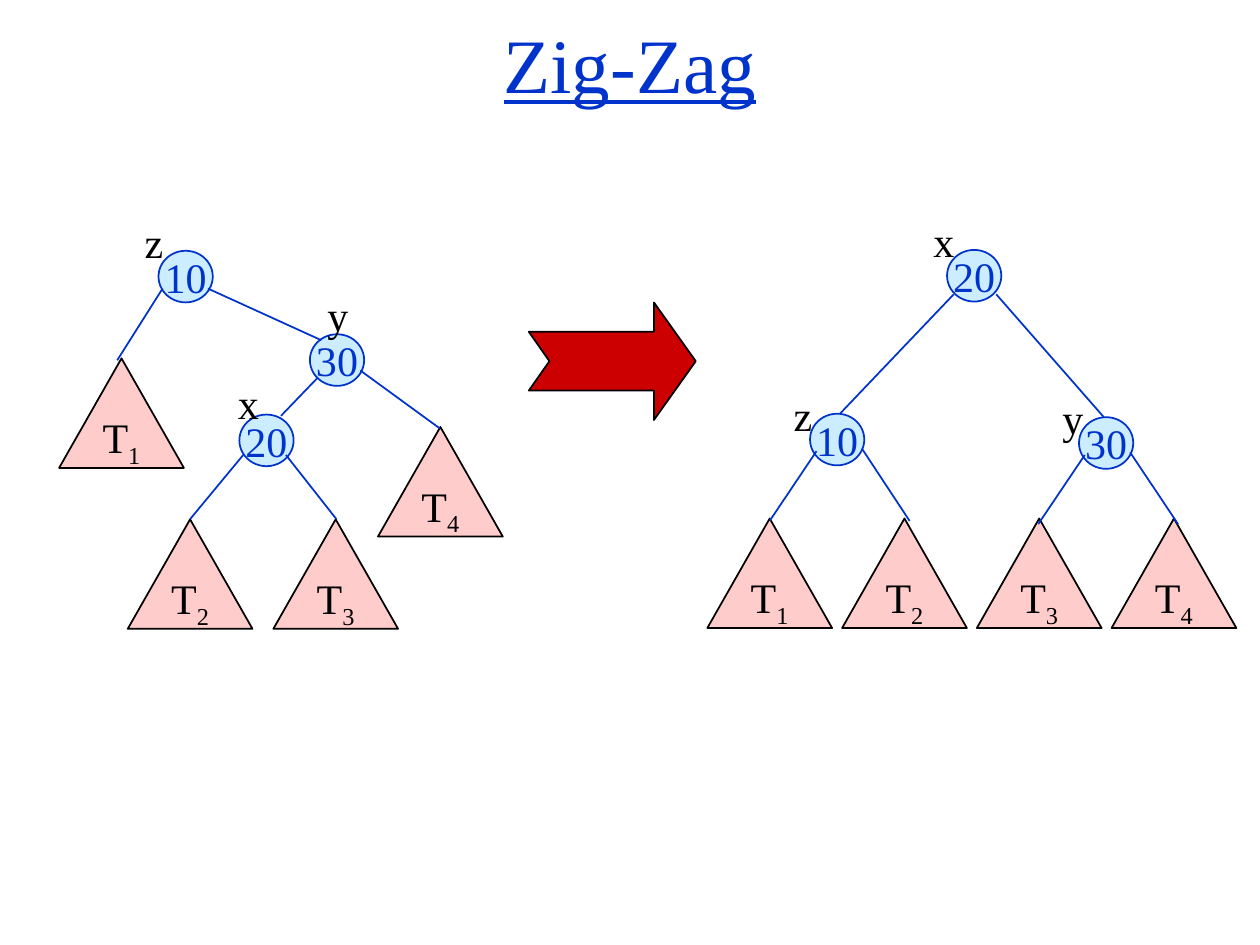
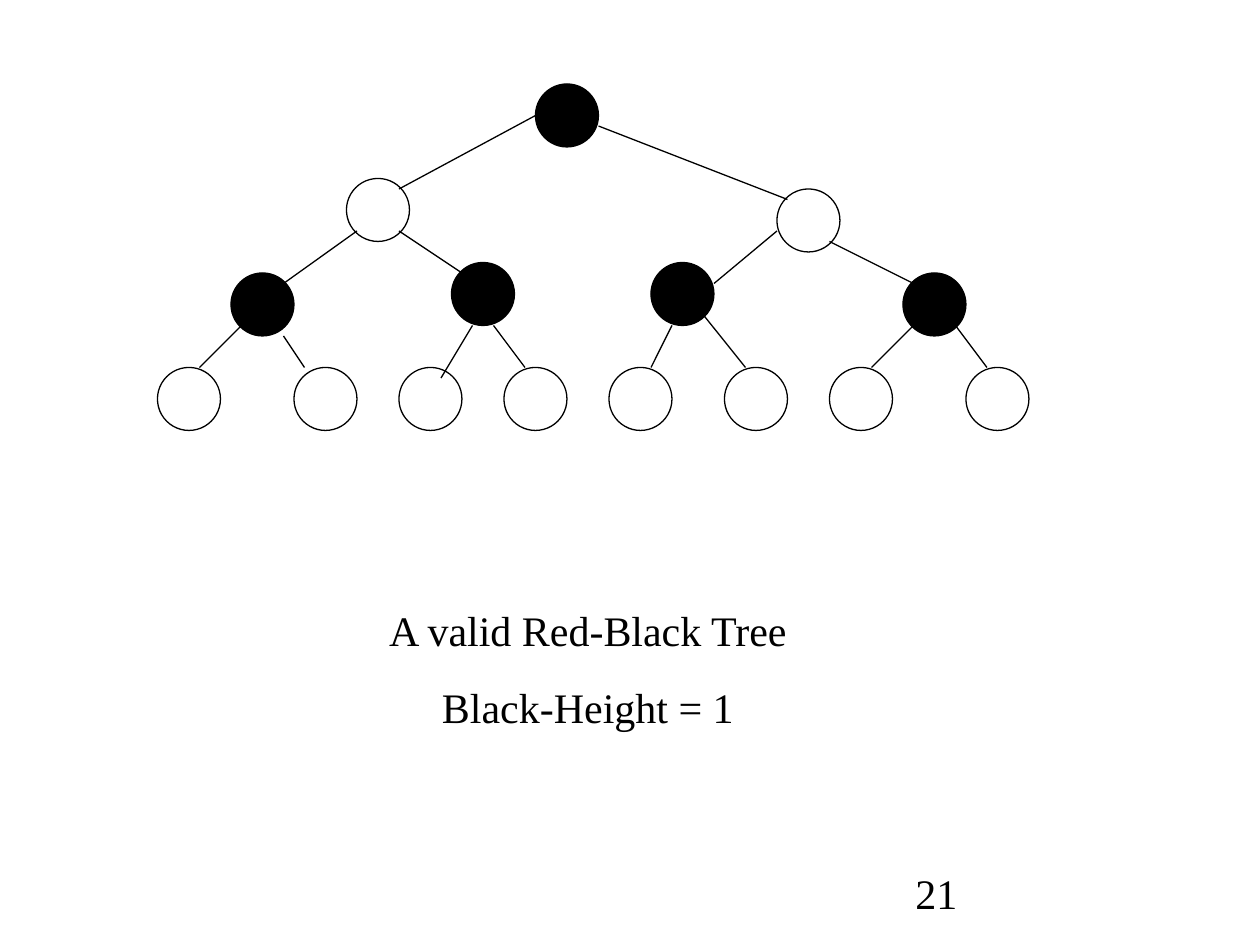
from lxml.etree import SubElement
from pptx import Presentation
from pptx.dml.color import RGBColor
from pptx.enum.shapes import MSO_CONNECTOR, MSO_SHAPE
from pptx.enum.text import MSO_ANCHOR, MSO_AUTO_SIZE, PP_ALIGN
from pptx.oxml.ns import qn
from pptx.util import Pt

BLUE = RGBColor(0x00, 0x33, 0xCC)
PALE_BLUE = RGBColor(0xCC, 0xEC, 0xFF)
PINK = RGBColor(0xFF, 0xCC, 0xCC)
RED = RGBColor(0xCC, 0x00, 0x00)
BLACK = RGBColor(0x00, 0x00, 0x00)
WHITE = RGBColor(0xFF, 0xFF, 0xFF)

SLIDE_WIDTH, SLIDE_HEIGHT = 720, 540
BLANK_LAYOUT = 6
KEY_SIZE = (31, 29.5)
SUBTREE_SIZE = (71.3, 62.6)
LABEL_SIZE = (25.5, 36)
DOT_SIZE = 36


class TreeDeck:
    """Holds the shared style and the slide being drawn; lengths are in points."""

    font_name = "Times New Roman"
    text_size = 24
    title_size = 44

    def __init__(self):
        self.presentation = Presentation()
        self.presentation.slide_width = Pt(SLIDE_WIDTH)
        self.presentation.slide_height = Pt(SLIDE_HEIGHT)
        self.slide = None

    def new_slide(self):
        layout = self.presentation.slide_layouts[BLANK_LAYOUT]
        self.slide = self.presentation.slides.add_slide(layout)

    def add_run(self, paragraph, text, color=BLACK, size=text_size):
        run = paragraph.add_run()
        run.text = text
        run.font.name = self.font_name
        run.font.size = Pt(size)
        run.font.color.rgb = color
        return run

    def text_box(self, left, top, width, height, wrap=True):
        box = self.slide.shapes.add_textbox(Pt(left), Pt(top), Pt(width), Pt(height))
        box.text_frame.word_wrap = wrap
        return box.text_frame

    def title(self, text):
        frame = self.text_box(0, 0, SLIDE_WIDTH, 72)
        frame.vertical_anchor = MSO_ANCHOR.MIDDLE
        paragraph = frame.paragraphs[0]
        paragraph.alignment = PP_ALIGN.CENTER
        self.add_run(paragraph, text, BLUE, self.title_size).font.underline = True

    def caption(self, lines, left, top, width, height):
        frame = self.text_box(left, top, width, height)
        frame.auto_size = MSO_AUTO_SIZE.SHAPE_TO_FIT_TEXT
        for index, line in enumerate(lines):
            paragraph = frame.add_paragraph() if index else frame.paragraphs[0]
            paragraph.alignment = PP_ALIGN.CENTER
            paragraph.space_before = Pt(15)
            self.add_run(paragraph, line)

    def page_number(self, number):
        frame = self.text_box(516, 492, 150, 36)
        self.add_run(frame.paragraphs[0], number)

    def label(self, text, left, top):
        frame = self.text_box(left, top, *LABEL_SIZE, wrap=False)
        frame.auto_size = MSO_AUTO_SIZE.SHAPE_TO_FIT_TEXT
        self.add_run(frame.paragraphs[0], text)

    def paint(self, shape, fill, line, line_width):
        shape.shadow.inherit = False
        shape.fill.solid()
        shape.fill.fore_color.rgb = fill
        shape.line.color.rgb = line
        shape.line.width = Pt(line_width)

    def preset(self, kind, left, top, size, fill, line, line_width=1):
        width, height = size
        shape = self.slide.shapes.add_shape(kind, Pt(left), Pt(top), Pt(width), Pt(height))
        self.paint(shape, fill, line, line_width)
        return shape

    def centred_paragraph(self, shape):
        frame = shape.text_frame
        frame.word_wrap = False
        frame.vertical_anchor = MSO_ANCHOR.MIDDLE
        paragraph = frame.paragraphs[0]
        paragraph.alignment = PP_ALIGN.CENTER
        return paragraph

    def key_node(self, key, left, top):
        shape = self.preset(MSO_SHAPE.OVAL, left, top, KEY_SIZE, PALE_BLUE, BLUE)
        self.add_run(self.centred_paragraph(shape), key, BLUE)

    def subtree(self, number, left, top):
        shape = self.preset(MSO_SHAPE.ISOSCELES_TRIANGLE, left, top, SUBTREE_SIZE, PINK, BLACK)
        paragraph = self.centred_paragraph(shape)
        self.add_run(paragraph, "T")
        subscript = self.add_run(paragraph, str(number))
        subscript.font._element.set("baseline", "-25000")

    def dot(self, left, top, fill):
        self.preset(MSO_SHAPE.OVAL, left, top, (DOT_SIZE, DOT_SIZE), fill, BLACK, 0.75)

    def edges(self, ends, color, width):
        for ends_of_edge in ends:
            line = self.slide.shapes.add_connector(
                MSO_CONNECTOR.STRAIGHT, *(Pt(value) for value in ends_of_edge))
            line.line.color.rgb = color
            line.line.width = Pt(width)
            SubElement(line._element.spPr, qn("a:effectLst"))

    def outline(self, points, fill):
        start, *others = [(Pt(x), Pt(y)) for x, y in points]
        builder = self.slide.shapes.build_freeform(*start)
        builder.add_line_segments(others, close=True)
        self.paint(builder.convert_to_shape(), fill, BLACK, 1)


def draw_zig_zag(deck):
    deck.new_slide()
    deck.title("Zig-Zag")

    # Key, node position, name, name position
    nodes = [
        ("10", 90.6, 143.3, "z", 75.6, 120.2),
        ("30", 177.1, 191, "y", 180, 162),
        ("20", 136.8, 236.9, "x", 128.9, 212.4),
        ("20", 541.2, 142.8, "x", 526.3, 119.8),
        ("10", 462.9, 236.4, "z", 446.4, 218.9),
        ("30", 616.6, 238.4, "y", 600, 220.5),
    ]
    for key, left, top, name, name_left, name_top in nodes:
        deck.key_node(key, left, top)
        deck.label(name, name_left, name_top)

    before = [(33.8, 204.8), (73, 296.8), (156.2, 296.8), (216, 244)]
    after = [(404.2 + 77 * column, 296.3) for column in range(4)]
    for positions in (before, after):
        for number, (left, top) in enumerate(positions, start=1):
            deck.subtree(number, left, top)

    deck.edges([
        (118.8, 164.9, 183.6, 194.4),
        (205.9, 211.7, 251.3, 244.8),
        (67, 205.9, 92.9, 164.9),
        (139, 260, 108.7, 296.6),
        (163.4, 260, 192.2, 296.6),
        (181.4, 216, 160.6, 237.6),
        (545, 168.2, 480.2, 236.2),
        (569.3, 168.2, 630.7, 238.3),
        (466.6, 257.8, 440, 297.4),
        (492.5, 256.3, 519.8, 297.7),
        (619.9, 260, 593.3, 299.5),
        (645.8, 258.5, 673.2, 299.5),
    ], BLUE, 1)

    tail, notch, neck, tip = 302.2, 314, 373.7, 397.6
    middle, shaft, head = 206.4, 16.8, 33.6
    deck.outline([
        (tail, middle - shaft), (neck, middle - shaft), (neck, middle - head),
        (tip, middle),
        (neck, middle + head), (neck, middle + shaft), (tail, middle + shaft),
        (notch, middle),
    ], RED)


def draw_red_black_tree(deck):
    deck.new_slide()
    deck.page_number("21")

    leaves = [(left, 210) for left in (90, 168, 228, 288, 348, 414, 474, 552)]
    levels = [
        [(306, 48)],
        [(198, 102), (444, 108)],
        [(132, 156), (258, 150), (372, 150), (516, 156)],
        leaves,
    ]
    for depth, level in enumerate(levels):
        for left, top in level:
            deck.dot(left, top, WHITE if depth % 2 else BLACK)

    deck.edges([
        (306, 66, 228, 108), (342, 72, 450, 114),
        (204, 132, 162, 162), (228, 132, 264, 156),
        (444, 132, 408, 162), (474, 138, 522, 162),
        (138, 186, 114, 210), (162, 192, 174, 210),
        (270, 186, 252, 216), (282, 186, 300, 210),
        (384, 186, 372, 210), (402, 180, 426, 210),
        (522, 186, 498, 210), (546, 186, 564, 210),
    ], BLACK, 0.75)

    deck.caption(["A valid Red-Black Tree", "Black-Height = 1"], 102, 342, 468, 80)


def main():
    deck = TreeDeck()
    draw_zig_zag(deck)
    draw_red_black_tree(deck)
    deck.presentation.save("out.pptx")


if __name__ == "__main__":
    main()
